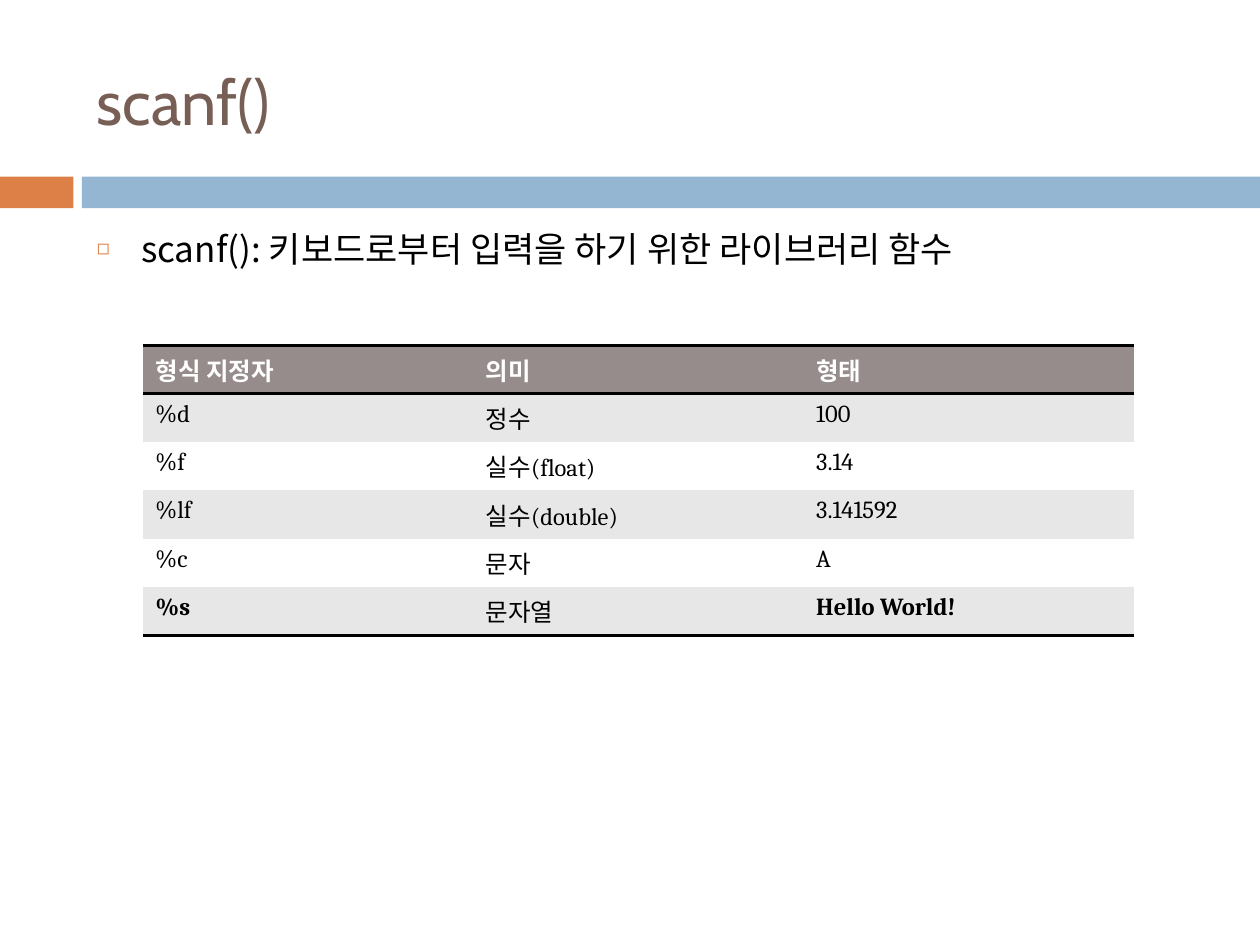
"""Build a slide that explains the format specifiers of scanf()."""
from dataclasses import dataclass

from lxml import etree
from pptx import Presentation
from pptx.dml.color import RGBColor
from pptx.enum.shapes import MSO_SHAPE
from pptx.enum.text import MSO_ANCHOR, MSO_AUTO_SIZE, PP_ALIGN
from pptx.oxml.ns import qn
from pptx.util import Cm, Pt

RECT = MSO_SHAPE.RECTANGLE
MIDDLE, TOP = MSO_ANCHOR.MIDDLE, MSO_ANCHOR.TOP
LEFT = PP_ALIGN.LEFT
NO_FIT = MSO_AUTO_SIZE.NONE
PLAIN_TABLE = "{2D5ABB26-0587-4C30-8999-92F81FD0307C}"


@dataclass(frozen=True)
class Theme:
    title_font: str = "Cabin"
    body_font: str = "Noto Sans CJK KR"
    table_font: str = "Cambria"
    title_size: int = 36
    body_size: int = 20
    table_size: int = 14
    title: str = "775F55"
    text: str = "000000"
    accent: str = "DD8047"
    bar: str = "94B6D2"
    header: str = "968C8C"
    band: str = "E7E7E7"
    paper: str = "FFFFFF"


def write(p, text, *, font, size, color, east_asian, bold=False):
    r = p.add_run()
    r.text = text
    r.font.name = font
    r.font.size = Pt(size)
    r.font.bold = bold
    r.font.color.rgb = RGBColor.from_string(color)
    etree.SubElement(r.font._element, qn("a:ea"), typeface=east_asian)


def add_color(parent, color):
    etree.SubElement(parent, qn("a:srgbClr"), val=color)


class SlideBuilder:
    def __init__(self, slide, theme):
        self.s = slide
        self.theme = theme

    def bar(self, left, top, width, height, color):
        sp = self.s.shapes.add_shape(RECT, Cm(left), Cm(top), Cm(width), Cm(height))
        sp.shadow.inherit = False
        sp.fill.solid()
        sp.fill.fore_color.rgb = RGBColor.from_string(color)
        sp.line.fill.background()

    def place(self, sp, left, top, width, height, anchor):
        sp.left, sp.top, sp.width, sp.height = map(Cm, (left, top, width, height))
        tf = sp.text_frame
        tf.word_wrap = True
        tf.auto_size = NO_FIT
        tf.vertical_anchor = anchor
        p = tf.paragraphs[0]
        p.alignment = LEFT
        return p

    def title(self, text, *box):
        t = self.theme
        p = self.place(self.s.shapes.title, *box, MIDDLE)
        write(p, text, font=t.title_font, size=t.title_size, color=t.title,
              east_asian=t.body_font)

    def bullet(self, text, *box):
        t = self.theme
        p = self.place(self.s.placeholders[1], *box, TOP)
        p.space_before = Pt(7)
        pPr = p._p.get_or_add_pPr()
        pPr.set("marL", str(Cm(0.89)))
        pPr.set("indent", str(Cm(-0.89)))
        add_color(etree.SubElement(pPr, qn("a:buClr")), t.accent)
        etree.SubElement(pPr, qn("a:buSzPct"), val="60000")
        etree.SubElement(pPr, qn("a:buChar"), char="◻")
        write(p, text, font=t.body_font, size=t.body_size, color=t.text,
              east_asian=t.body_font)

    def rule(self, cell, side):
        tcPr = cell._tc.get_or_add_tcPr()
        ln = etree.Element(qn(f"a:{side}"), w=str(Pt(2)))
        add_color(etree.SubElement(ln, qn("a:solidFill")), self.theme.text)
        tcPr.insert(0, ln)

    def table(self, rows, left, top, width, height):
        t = self.theme
        last = len(rows) - 1
        frame = self.s.shapes.add_table(len(rows), len(rows[0]), Cm(left), Cm(top),
                                        Cm(width), Cm(height))
        table = frame.table
        table._tbl.tblPr.find(qn("a:tableStyleId")).text = PLAIN_TABLE
        for i, row in enumerate(rows):
            fill = t.header if i == 0 else t.band if i % 2 else t.paper
            for j, text in enumerate(row):
                cell = table.cell(i, j)
                cell.fill.solid()
                cell.fill.fore_color.rgb = RGBColor.from_string(fill)
                write(cell.text_frame.paragraphs[0], text, font=t.table_font,
                      size=t.table_size, color=t.text if i else t.paper,
                      east_asian=t.body_font,
                      bold=i == 0 or (i == last and text.isascii()))
                if i in (0, last):
                    self.rule(cell, "lnB")
                if i == 0:
                    self.rule(cell, "lnT")


def main():
    prs = Presentation()
    prs.slide_width, prs.slide_height = Cm(25.4), Cm(19.05)
    theme = Theme()
    builder = SlideBuilder(prs.slides.add_slide(prs.slide_layouts[1]), theme)
    builder.bar(0, 3.56, 1.48, 0.64, theme.accent)
    builder.bar(1.65, 3.56, 23.75, 0.64, theme.bar)
    builder.title("scanf()", 1.7, 0.64, 22.65, 2.75)
    builder.bullet("scanf(): 키보드로부터 입력을 하기 위한 라이브러리 함수",
                   1.7, 4.45, 22.65, 12.5)
    builder.table([
        ("형식 지정자", "의미", "형태"),
        ("%d", "정수", "100"),
        ("%f", "실수(float)", "3.14"),
        ("%lf", "실수(double)", "3.141592"),
        ("%c", "문자", "A"),
        ("%s", "문자열", "Hello World!"),
    ], 2.88, 6.96, 19.98, 5.18)
    prs.save("out.pptx")


if __name__ == "__main__":
    main()
